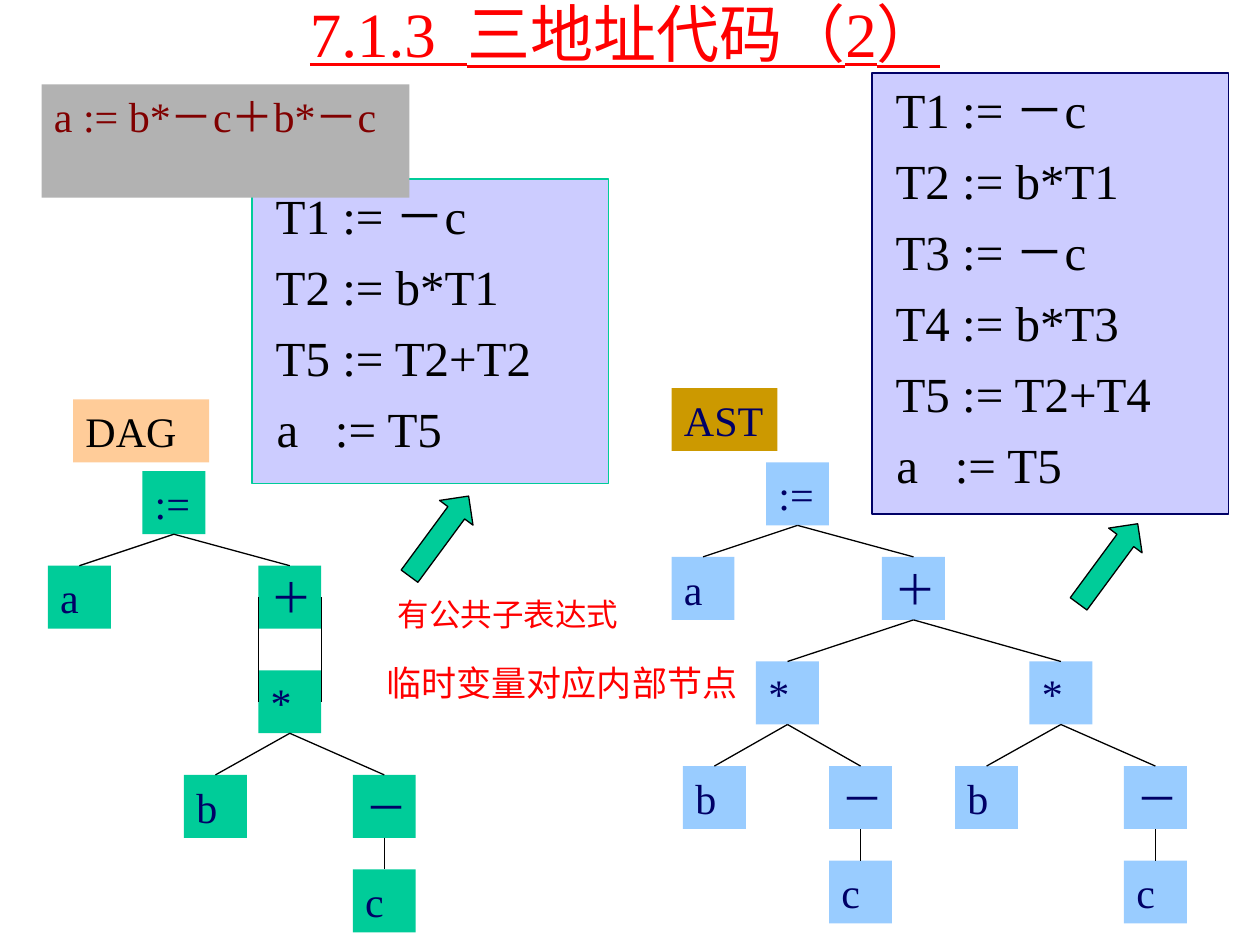
from lxml.etree import SubElement
from pptx import Presentation
from pptx.dml.color import RGBColor
from pptx.enum.shapes import MSO_CONNECTOR, MSO_SHAPE
from pptx.enum.text import MSO_ANCHOR, PP_ALIGN
from pptx.oxml.ns import qn
from pptx.util import Inches, Pt

BLACK = RGBColor(0x00, 0x00, 0x00)
RED = RGBColor(0xFF, 0x00, 0x00)
MAROON = RGBColor(0x80, 0x00, 0x00)
NAVY = RGBColor(0x00, 0x00, 0x66)
GREEN = RGBColor(0x00, 0xCC, 0x99)
BLUE = RGBColor(0x99, 0xCC, 0xFF)
LAVENDER = RGBColor(0xCC, 0xCC, 0xFF)
PEACH = RGBColor(0xFF, 0xCC, 0x99)
GOLD = RGBColor(0xCC, 0x99, 0x00)
GRAY = RGBColor(0xB2, 0xB2, 0xB2)

FONT = "Times New Roman"
NODE = 0.5
ROWS = [0, 0.75, 1.58, 2.41, 3.16]

# Each node is (label, horizontal offset, row, index of its parent).
DAG_NODES = [
    (":=", 0.75, 0, None), ("a", 0, 1, 0), ("＋", 1.67, 1, 0), ("*", 1.67, 2, None),
    ("b", 1.08, 3, 3), ("－", 2.42, 3, 3), ("c", 2.42, 4, 5),
]
AST_NODES = [
    (":=", 0.75, 0, None), ("a", 0, 1, 0), ("＋", 1.67, 1, 0),
    ("*", 0.67, 2, 2), ("*", 2.84, 2, 2),
    ("b", 0.09, 3, 3), ("－", 1.25, 3, 3), ("b", 2.25, 3, 4), ("－", 3.59, 3, 4),
    ("c", 1.25, 4, 6), ("c", 3.59, 4, 8),
]
DAG_CODE = [" T1 := －c", " T2 := b*T1", " T5 := T2+T2", " a   := T5"]
AST_CODE = [" T1 := －c", " T2 := b*T1", " T3 := －c", " T4 := b*T3",
            " T5 := T2+T4", " a   := T5"]


def write(shape, lines, size, color, gap=0, wrap=True):
    """Fill a shape with left-aligned lines of text in one style."""
    frame = shape.text_frame
    frame.word_wrap = wrap
    frame.vertical_anchor = MSO_ANCHOR.TOP
    for index, line in enumerate(lines):
        para = frame.add_paragraph() if index else frame.paragraphs[0]
        para.text = line
        para.alignment = PP_ALIGN.LEFT
        if index:
            para.space_before = Pt(gap)
        para.font.name = FONT
        para.font.size = Pt(size)
        para.font.color.rgb = color


def add_block(page, kind, box, fill, outline=None):
    """Add a flat preset shape in a box given in inches."""
    shape = page.shapes.add_shape(kind, *map(Inches, box))
    shape.shadow.inherit = False
    shape.fill.solid()
    shape.fill.fore_color.rgb = fill
    if outline is None:
        shape.line.fill.background()
    else:
        shape.line.color.rgb = outline
        shape.line.width = Pt(0.75)
    return shape


def add_label(page, box, text, fill, color):
    """Add a filled rectangle with a short text."""
    write(add_block(page, MSO_SHAPE.RECTANGLE, box, fill), [text], 24, color)


def add_code(page, box, lines, outline):
    """Add a framed listing of three-address code."""
    frame = add_block(page, MSO_SHAPE.RECTANGLE, box, LAVENDER, outline)
    write(frame, lines, 28, BLACK, gap=7)


def add_arrow(page, box):
    """Add a block arrow pointing up to a listing."""
    arrow = add_block(page, MSO_SHAPE.RIGHT_ARROW, box, GREEN, BLACK)
    arrow.rotation = 306.4


def add_line(page, start, end):
    """Add a thin black line between two points in inches."""
    line = page.shapes.add_connector(MSO_CONNECTOR.STRAIGHT, *map(Inches, start + end))
    line.line.color.rgb = BLACK
    line.line.width = Pt(0.75)
    SubElement(line._element.spPr, qn("a:effectLst"))


def add_tree(page, left, top, nodes, fill):
    """Add the nodes of a tree and the edges to their parents."""
    places = [(left + offset, top + ROWS[row]) for _, offset, row, _ in nodes]
    for (label, *_), (x, y) in zip(nodes, places):
        add_label(page, (x, y, NODE, NODE), label, fill, NAVY)
    for (*_, parent), (x, y) in zip(nodes, places):
        if parent is not None:
            parent_x, parent_y = places[parent]
            add_line(page, (parent_x + NODE / 2, parent_y + NODE), (x + NODE / 2, y))


def add_shared_link(page, left, top):
    """Join two stacked nodes by a line along each side."""
    for x in (left, left + NODE):
        add_line(page, (x, top + ROWS[1] + NODE / 2), (x, top + ROWS[2] + NODE / 2))


def add_note(page, box, text, size):
    """Add a red remark that stays on one line."""
    note = page.shapes.add_textbox(*map(Inches, box))
    write(note, [text], size, RED, wrap=False)


def add_title(page, box, text):
    """Add the centred, underlined heading."""
    title = page.shapes.add_textbox(*map(Inches, box))
    write(title, [text], 36, RED)
    title.text_frame.vertical_anchor = MSO_ANCHOR.MIDDLE
    para = title.text_frame.paragraphs[0]
    para.alignment = PP_ALIGN.CENTER
    para.font.underline = True


def main():
    """Build the slide and save it."""
    deck = Presentation()
    deck.slide_width, deck.slide_height = Inches(10), Inches(7.5)
    page = deck.slides.add_slide(deck.slide_layouts[6])
    add_title(page, (0.75, -0.08, 8.42, 0.67), "7.1.3  三地址代码（2）")
    add_code(page, (2, 1.42, 2.83, 2.42), DAG_CODE, GREEN)
    add_code(page, (6.92, 0.58, 2.83, 3.5), AST_CODE, NAVY)
    add_label(page, (0.58, 3.17, 1.08, 0.5), "DAG", PEACH, BLACK)
    add_label(page, (5.33, 3.08, 0.84, 0.5), "AST", GOLD, NAVY)
    add_tree(page, 0.38, 3.74, DAG_NODES, GREEN)
    add_tree(page, 5.33, 3.67, AST_NODES, BLUE)
    add_shared_link(page, 2.05, 3.74)
    add_label(page, (0.33, 0.67, 2.92, 0.9), "a := b*－c＋b*－c", GRAY, MAROON)
    add_arrow(page, (3.09, 4.09, 0.79, 0.33))
    add_note(page, (3.06, 4.67, 1.95, 0.4), "有公共子表达式", 18)
    add_arrow(page, (8.4, 4.31, 0.79, 0.33))
    add_note(page, (2.97, 5.2, 2.98, 0.44), "临时变量对应内部节点", 20)
    deck.save("out.pptx")


if __name__ == "__main__":
    main()
